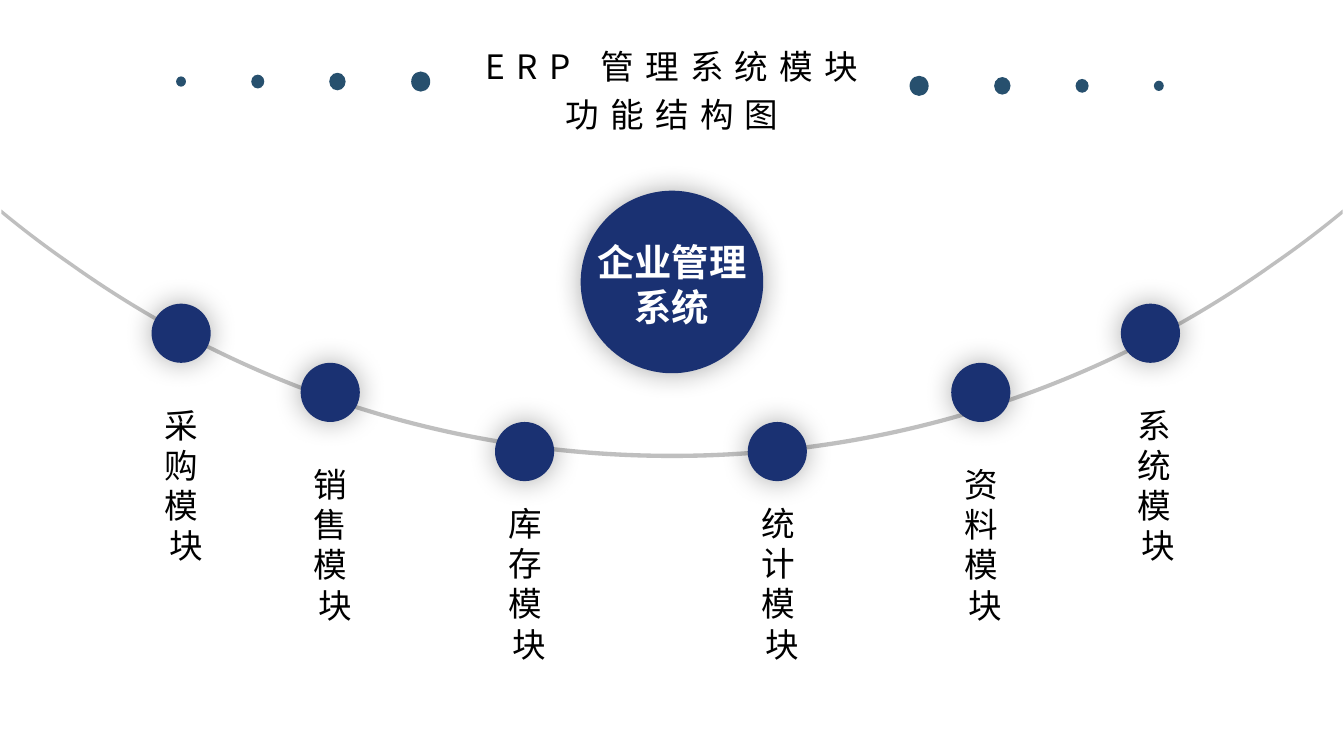
from collections import namedtuple
from dataclasses import dataclass

import pptx
import pptx.dml.color
import pptx.enum.shapes
import pptx.enum.text
import pptx.oxml
import pptx.oxml.ns
import pptx.util

Pt = pptx.util.Pt
Box = namedtuple("Box", "left top width height")


@dataclass(frozen=True)
class Theme:
    font: str = "Noto Sans CJK SC"
    text: str = "000000"
    inverse: str = "FFFFFF"
    navy: str = "1A3172"
    dot: str = "27506E"
    arc: str = "BFBFBF"
    body_size: float = 18
    hub_size: float = 20
    tracking: float = 6
    glow_blur: float = 15
    glow_opacity: int = 33


THEME = Theme()
DOTS = [(97, 5.3, 5.5), (138.1, 7, 7.4), (180.8, 8.8, 9.4), (225.4, 10.2, 10.8)]
MODULES = [
    ("采购模块", 81.2, 0, 0),
    ("销售模块", 161.1, 1, 0),
    ("库存模块", 265.2, 2, 0),
    ("统计模块", 400.6, 2, 0),
    ("资料模块", 509.6, 1, 0),
    ("系统模块", 600.5, 0, 1.9),
]
LABEL_DROPS = [50.4, 50.4, 39.6]


def paint(shape, color):
    shape.shadow.inherit = False
    shape.fill.solid()
    shape.fill.fore_color.rgb = pptx.dml.color.RGBColor.from_string(color)
    shape.line.fill.background()


def add_circle(page, box, color, glowing=False):
    circle = page.shapes.add_shape(
        pptx.enum.shapes.MSO_SHAPE.OVAL, *(Pt(length) for length in box)
    )
    paint(circle, color)
    if glowing:
        effects = circle._element.spPr.find(pptx.oxml.ns.qn("a:effectLst"))
        effects.append(pptx.oxml.parse_xml(
            f'<a:outerShdw {pptx.oxml.ns.nsdecls("a")} blurRad="{Pt(THEME.glow_blur)}" '
            'dist="0" dir="0" algn="ctr" rotWithShape="0"><a:srgbClr val="000000">'
            f'<a:alpha val="{THEME.glow_opacity * 1000}"/></a:srgbClr></a:outerShdw>'
        ))


def add_text(page, box, lines, size, color, bold=False, tracking=0, spacing=None):
    frame = page.shapes.add_textbox(*(Pt(length) for length in box)).text_frame
    frame.word_wrap = True
    frame.auto_size = pptx.enum.text.MSO_AUTO_SIZE.SHAPE_TO_FIT_TEXT
    for index, line in enumerate(lines):
        para = frame.add_paragraph() if index else frame.paragraphs[0]
        para.alignment = pptx.enum.text.PP_ALIGN.CENTER
        para.line_spacing = spacing
        span = para.add_run()
        span.text = line
        span.font.name = THEME.font
        span.font.size = Pt(size)
        span.font.bold = bold
        span.font.color.rgb = pptx.dml.color.RGBColor.from_string(color)
        properties = span.font._element
        properties.set("spc", str(tracking * 100))
        east_asian = pptx.oxml.parse_xml(
            f'<a:ea {pptx.oxml.ns.nsdecls("a")} typeface="{THEME.font}"/>'
        )
        properties.find(pptx.oxml.ns.qn("a:latin")).addnext(east_asian)


def add_heading(page, box):
    for center, width, height in DOTS:
        for x, y in ((center, 27.1), (box.width - center, 29.4)):
            add_circle(
                page,
                Box(box.left + x - width / 2, box.top + y - height / 2, width, height),
                THEME.dot,
            )
    add_text(
        page,
        Box(box.left + 232.6, box.top, 254.9, box.height),
        ["ERP 管理系统模块", "功能结构图"],
        THEME.body_size, THEME.text, tracking=THEME.tracking, spacing=1.2,
    )


def add_hub(page, box):
    add_circle(page, box, THEME.navy, glowing=True)
    add_text(
        page,
        Box(box.left - 2.9, box.top + 22.3, box.width + 5.8, 55.4),
        ["企业管理系统"], THEME.hub_size, THEME.inverse, bold=True,
    )


def bend_segments(shape, side_length):
    segments = list(shape._element.iter(pptx.oxml.ns.qn("a:lnTo")))
    sides = segments[:side_length], segments[side_length + 1:]
    for side in sides:
        for index in range(0, side_length, 3):
            curve = pptx.oxml.parse_xml(
                f'<a:cubicBezTo {pptx.oxml.ns.nsdecls("a")}/>'
            )
            side[index].addprevious(curve)
            for segment in side[index:index + 3]:
                curve.append(segment[0])
                segment.getparent().remove(segment)


def add_arc(page, box, thickness=2.3):
    middle = box.width / 2
    depth = box.height - thickness
    left_half = [
        (0, 0), (12.2, 10.1), (24.5, 19.4), (37.4, 28.3),
        (128.2, 93), (239, depth), (middle, depth),
    ]
    upper = left_half + [(box.width - x, y) for x, y in left_half[-2::-1]]
    lower = [(x, y + thickness) for x, y in reversed(upper)]
    outline = [(Pt(box.left + x), Pt(box.top + y)) for x, y in upper + lower]
    builder = page.shapes.build_freeform(*outline[0])
    builder.add_line_segments(outline[1:], close=False)
    arc = builder.convert_to_shape()
    bend_segments(arc, len(upper) - 1)
    paint(arc, THEME.arc)


def add_modules(page, box, diameter=31.7):
    for name, x, level, shift in MODULES:
        left = box.left + x
        top = box.top + level * diameter
        add_circle(page, Box(left, top, diameter, diameter), THEME.navy, glowing=True)
        add_text(
            page,
            Box(left + shift, top + LABEL_DROPS[level], 36.7, 94.3),
            [name], THEME.body_size, THEME.text, tracking=THEME.tracking,
        )


def main():
    deck = pptx.Presentation()
    deck.slide_width = Pt(720)
    deck.slide_height = Pt(405)
    page = deck.slides.add_slide(deck.slide_layouts[6])
    add_heading(page, Box(0, 16.6, 717.8, 59.8))
    add_hub(page, Box(311.1, 102.2, 97.8, 97.8))
    add_arc(page, Box(0.7, 112.2, 718.6, 133.2))
    add_modules(page, Box(0, 162.7, 720, 197.3))
    deck.save("out.pptx")


if __name__ == "__main__":
    main()
